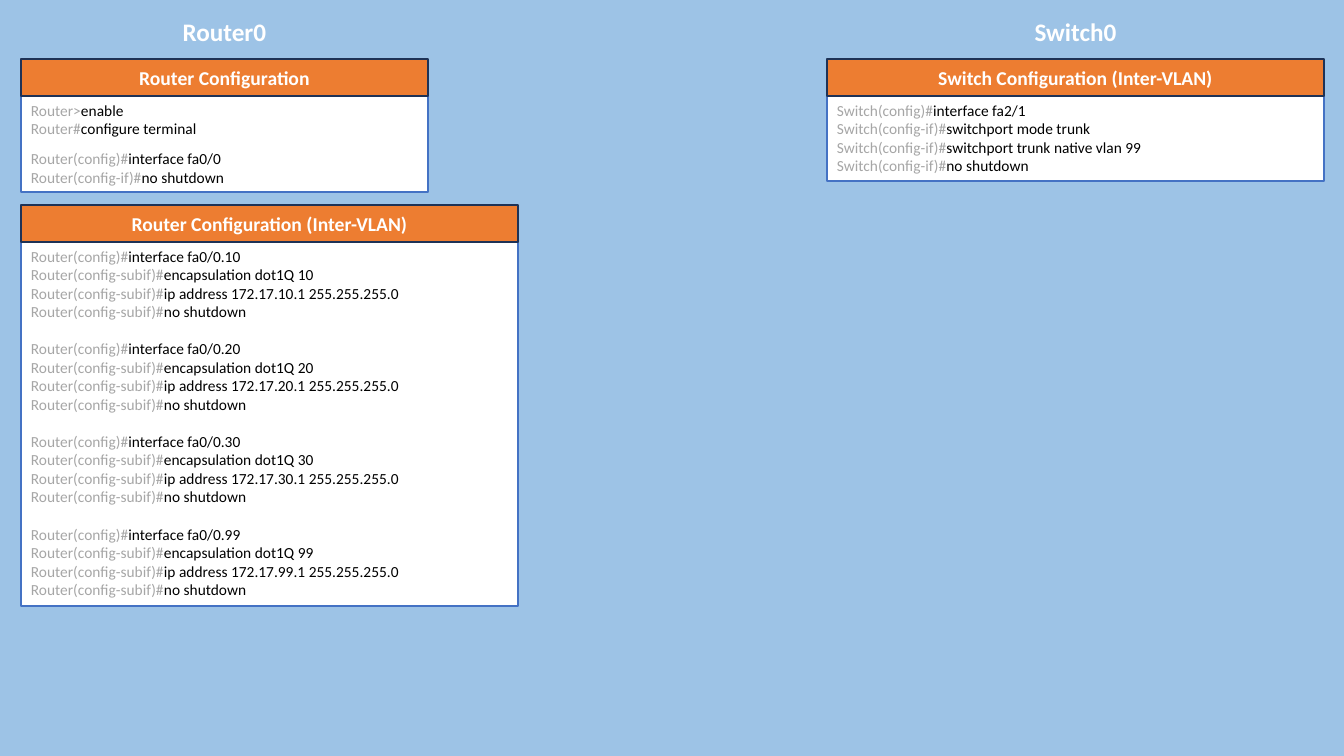
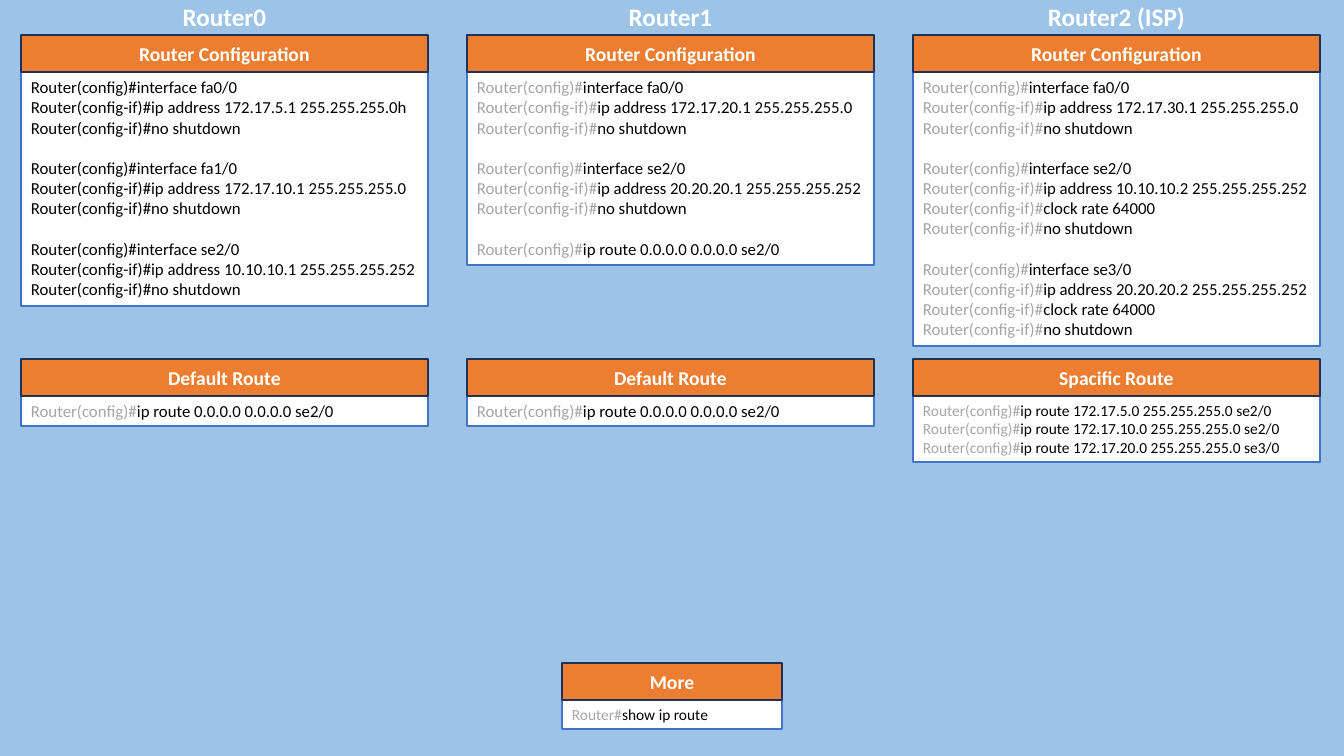
from dataclasses import dataclass

from pptx import Presentation
from pptx.dml.color import RGBColor
from pptx.enum.shapes import MSO_SHAPE
from pptx.enum.text import MSO_ANCHOR, MSO_AUTO_SIZE, PP_ALIGN
from pptx.shapes.autoshape import Shape
from pptx.shapes.shapetree import GroupShapes
from pptx.slide import Slide
from pptx.text.text import _Paragraph as Paragraph
from pptx.util import Emu, Pt

SLIDE_WIDTH, SLIDE_HEIGHT = 1344, 756
EMU_PER_PX = 12192000 / SLIDE_WIDTH
PX_PER_PT = 1.4

SKY = RGBColor(0x9D, 0xC3, 0xE6)
ORANGE = RGBColor(0xED, 0x7D, 0x31)
NAVY = RGBColor(0x1E, 0x32, 0x56)
BLUE = RGBColor(0x44, 0x72, 0xC4)
GREY = RGBColor(0xA6, 0xA6, 0xA6)
WHITE = RGBColor(0xFF, 0xFF, 0xFF)
BLACK = RGBColor(0x00, 0x00, 0x00)

FONT = "Calibri"
LINE_PITCH = 1.21
VERTICAL_INSETS_PT = 7.2
HEADER_HEIGHT = 37
HEADING_HEIGHT = 40

MARGIN = 21
NARROW, WIDE, SMALL = 407, 497, 220
COLUMN_STEP = NARROW + 39
SWITCH_LEFT = SLIDE_WIDTH - MARGIN - WIDE + 1
MORE_LEFT = (SLIDE_WIDTH - SMALL) // 2

Section = list[str]


@dataclass(frozen=True)
class Heading:
    text: str
    left: int
    top: int
    width: int = NARROW


@dataclass(frozen=True)
class Panel:
    title: str
    left: int
    top: int
    sections: list[Section]
    width: int = NARROW
    size: int = 12
    gap_pt: float = 12 * LINE_PITCH
    prompt_color: RGBColor = GREY

    @property
    def body_height(self) -> int:
        lines = sum(len(section) for section in self.sections)
        gaps = (len(self.sections) - 1) * self.gap_pt
        points = lines * self.size * LINE_PITCH + gaps + VERTICAL_INSETS_PT
        return round(points * PX_PER_PT)


def px(length: int) -> Emu:
    return Emu(round(length * EMU_PER_PX))


def column(index: int) -> int:
    return MARGIN + index * COLUMN_STEP


def interface(port: str, *commands: str, host: str = "Router", mode: str = "if") -> Section:
    """Return the prompt lines that configure one port and bring it up."""
    return [f"{host}(config)#interface {port}"] + [
        f"{host}(config-{mode})#{command}" for command in (*commands, "no shutdown")
    ]


def vlan(number: int) -> Section:
    return interface(
        f"fa0/0.{number}",
        f"encapsulation dot1Q {number}",
        f"ip address 172.17.{number}.1 255.255.255.0",
        mode="subif",
    )


def route(target: str) -> str:
    return f"Router(config)#ip route {target}"


def add_run(paragraph: Paragraph, text: str, size: int, color: RGBColor, bold: bool = False) -> None:
    run = paragraph.add_run()
    run.text = text
    run.font.name = FONT
    run.font.size = Pt(size)
    run.font.bold = bold
    run.font.color.rgb = color


def add_box(shapes: GroupShapes, left: int, top: int, width: int, height: int,
            fill: RGBColor, outline: RGBColor) -> Shape:
    box = shapes.add_shape(MSO_SHAPE.RECTANGLE, px(left), px(top), px(width), px(height))
    box.shadow.inherit = False
    box.fill.solid()
    box.fill.fore_color.rgb = fill
    box.line.color.rgb = outline
    box.line.width = Pt(1)
    box.text_frame.word_wrap = True
    return box


def add_commands(body: Shape, panel: Panel) -> None:
    frame = body.text_frame
    frame.vertical_anchor = MSO_ANCHOR.TOP
    frame.auto_size = MSO_AUTO_SIZE.SHAPE_TO_FIT_TEXT
    lines = [(line, section_index > 0 and line_index == 0)
             for section_index, section in enumerate(panel.sections)
             for line_index, line in enumerate(section)]
    for index, (line, opens_section) in enumerate(lines):
        paragraph = frame.add_paragraph() if index else frame.paragraphs[0]
        paragraph.alignment = PP_ALIGN.LEFT
        if opens_section:
            paragraph.space_before = Pt(panel.gap_pt)
        if panel.prompt_color == BLACK:
            add_run(paragraph, line, panel.size, BLACK)
        else:
            prompt, mark, command = line.partition("#" if "#" in line else ">")
            add_run(paragraph, prompt + mark, panel.size, panel.prompt_color)
            add_run(paragraph, command, panel.size, BLACK)


def add_panel(slide: Slide, panel: Panel) -> None:
    shapes = slide.shapes.add_group_shape().shapes
    body = add_box(shapes, panel.left, panel.top + HEADER_HEIGHT, panel.width,
                   panel.body_height, WHITE, BLUE)
    add_commands(body, panel)
    header = add_box(shapes, panel.left, panel.top, panel.width, HEADER_HEIGHT, ORANGE, NAVY)
    header.text_frame.vertical_anchor = MSO_ANCHOR.MIDDLE
    title = header.text_frame.paragraphs[0]
    title.alignment = PP_ALIGN.CENTER
    add_run(title, panel.title, 14, WHITE, bold=True)


def add_heading(slide: Slide, heading: Heading) -> None:
    box = slide.shapes.add_textbox(px(heading.left), px(heading.top),
                                   px(heading.width), px(HEADING_HEIGHT))
    box.text_frame.word_wrap = True
    device = box.text_frame.paragraphs[0]
    device.alignment = PP_ALIGN.CENTER
    add_run(device, heading.text, 18, WHITE, bold=True)


INTER_VLAN_HEADINGS = [
    Heading("Router0", column(0), 11),
    Heading("Switch0", SWITCH_LEFT, 11, WIDE),
]
INTER_VLAN_PANELS = [
    Panel("Router Configuration", column(0), 59,
          [["Router>enable", "Router#configure terminal"], interface("fa0/0")],
          size=11, gap_pt=8),
    Panel("Router Configuration (Inter-VLAN)", column(0), 205,
          [vlan(number) for number in (10, 20, 30, 99)],
          width=WIDE, size=11, gap_pt=11 * LINE_PITCH),
    Panel("Switch Configuration (Inter-VLAN)", SWITCH_LEFT, 59,
          [interface("fa2/1", "switchport mode trunk", "switchport trunk native vlan 99",
                     host="Switch")],
          width=WIDE, size=11),
]

CONFIG_TOP, ROUTE_TOP = 35, 359
DEFAULT_ROUTE = [route("0.0.0.0 0.0.0.0 se2/0")]
ROUTING_HEADINGS = [
    Heading(name, column(index), -4)
    for index, name in enumerate(("Router0", "Router1", "Router2 (ISP)"))
]
ROUTING_PANELS = [
    Panel("Router Configuration", column(0), CONFIG_TOP, [
        interface("fa0/0", "ip address 172.17.5.1 255.255.255.0h"),
        interface("fa1/0", "ip address 172.17.10.1 255.255.255.0"),
        interface("se2/0", "ip address 10.10.10.1 255.255.255.252"),
    ], prompt_color=BLACK),
    Panel("Router Configuration", column(1), CONFIG_TOP, [
        interface("fa0/0", "ip address 172.17.20.1 255.255.255.0"),
        interface("se2/0", "ip address 20.20.20.1 255.255.255.252"),
        DEFAULT_ROUTE,
    ]),
    Panel("Router Configuration", column(2), CONFIG_TOP, [
        interface("fa0/0", "ip address 172.17.30.1 255.255.255.0"),
        interface("se2/0", "ip address 10.10.10.2 255.255.255.252", "clock rate 64000"),
        interface("se3/0", "ip address 20.20.20.2 255.255.255.252", "clock rate 64000"),
    ]),
    *(Panel("Default Route", column(index), ROUTE_TOP, [DEFAULT_ROUTE]) for index in range(2)),
    Panel("Spacific Route", column(2), ROUTE_TOP, [[
        route("172.17.5.0 255.255.255.0 se2/0"),
        route("172.17.10.0 255.255.255.0 se2/0"),
        route("172.17.20.0 255.255.255.0 se3/0"),
    ]], size=11),
    Panel("More", MORE_LEFT, 663, [["Router#show ip route"]], width=SMALL, size=11),
]


def main() -> None:
    deck = Presentation()
    deck.slide_width, deck.slide_height = px(SLIDE_WIDTH), px(SLIDE_HEIGHT)
    blank_layout = deck.slide_layouts[6]
    background = deck.slide_master.background.fill
    background.solid()
    background.fore_color.rgb = SKY
    for headings, panels in ((INTER_VLAN_HEADINGS, INTER_VLAN_PANELS),
                             (ROUTING_HEADINGS, ROUTING_PANELS)):
        slide = deck.slides.add_slide(blank_layout)
        for heading in headings:
            add_heading(slide, heading)
        for panel in panels:
            add_panel(slide, panel)
    deck.save("out.pptx")


if __name__ == "__main__":
    main()
